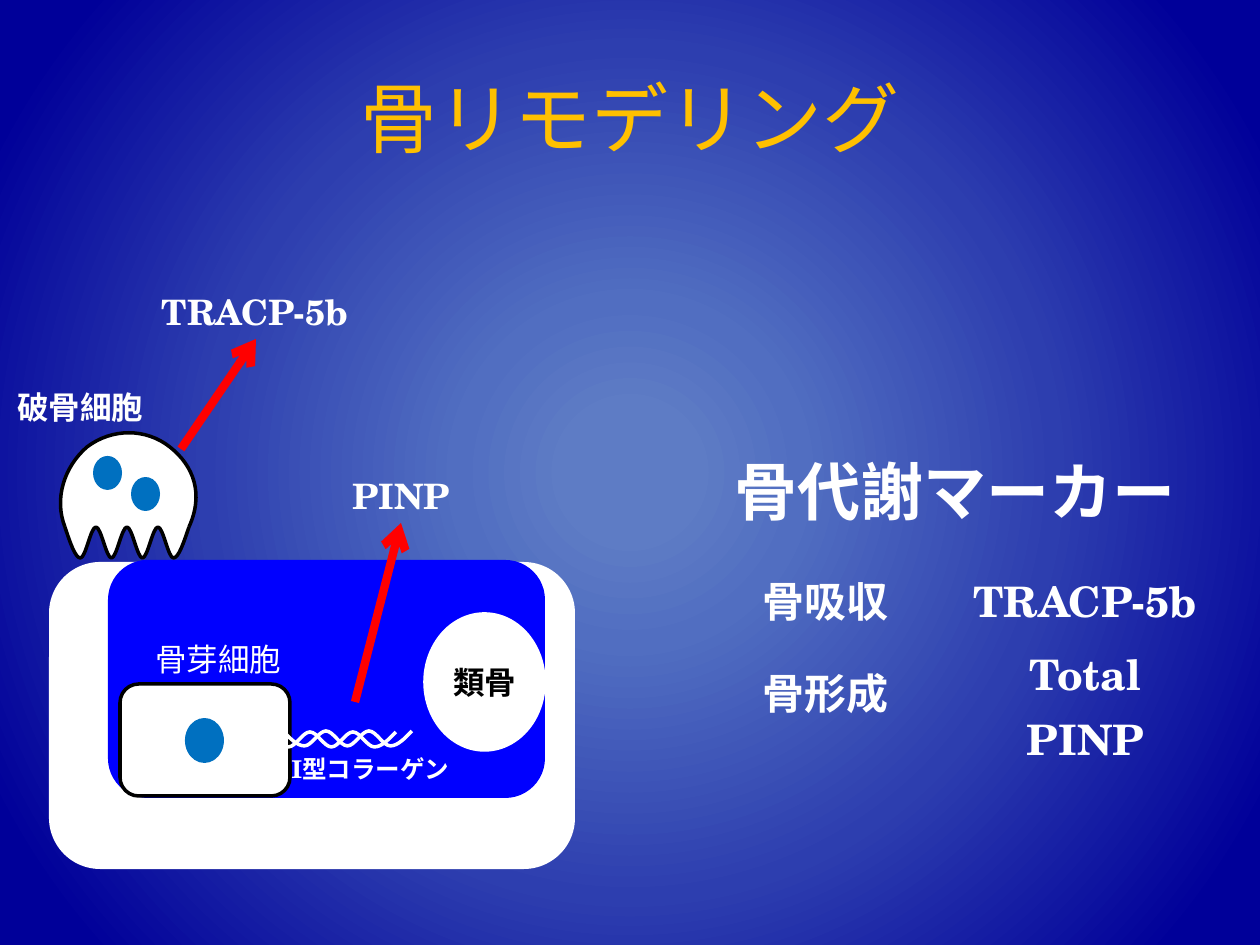
"""Build the bone remodeling slide with its cell diagram and marker table."""
from lxml import etree
from pptx import Presentation
from pptx.dml.color import RGBColor
from pptx.enum.shapes import MSO_CONNECTOR, MSO_SHAPE
from pptx.enum.text import MSO_ANCHOR, PP_ALIGN
from pptx.oxml.ns import qn
from pptx.util import Emu, Pt

SCALE = 914400 / 126
FONT = "TeX Gyre Schola"
LEFT, CENTER = PP_ALIGN.LEFT, PP_ALIGN.CENTER
TOP, MIDDLE = MSO_ANCHOR.TOP, MSO_ANCHOR.MIDDLE
ROUNDED, OVAL = MSO_SHAPE.ROUNDED_RECTANGLE, MSO_SHAPE.OVAL
STRAIGHT = MSO_CONNECTOR.STRAIGHT
WHITE = RGBColor(0xFF, 0xFF, 0xFF)
BLACK = RGBColor(0, 0, 0)
GOLD = RGBColor(0xFF, 0xC0, 0)
RED = RGBColor(0xFF, 0, 0)
BLUE = RGBColor(0, 0, 0xFF)
NUCLEUS = RGBColor(0, 0x70, 0xC0)
BACKDROP = [
    (8, RGBColor(0x5E, 0x7C, 0xC5)),
    (22, RGBColor(0x51, 0x6E, 0xC1)),
    (54, RGBColor(0x2D, 0x3E, 0xAF)),
    (91, RGBColor(0, 0, 0x99)),
]
NO_GRID_STYLE = "{2D5ABB26-0587-4C30-8999-92F81FD0307C}"

TITLE = ("骨リモデリング", (63, 38, 1134, 158), 44, GOLD, False, CENTER, MIDDLE)
OSTEOCLAST_LABEL = ("破骨細胞", (5, 382, 173, 50), 18, WHITE, True, LEFT, TOP)
TRACP_LABEL = ("TRACP-5b", (138, 284, 234, 55), 20, WHITE, True, CENTER, TOP)
OSTEOBLAST_LABEL = ("骨芽細胞", (143, 634, 173, 50), 18, WHITE, False, LEFT, TOP)
COLLAGEN_LABEL = ("I型コラーゲン", (256, 748, 229, 43), 14, WHITE, True, CENTER, TOP)
OSTEOID_LABEL = ("類骨", (435, 657, 100, 50), 18, BLACK, True, CENTER, TOP)
PINP_LABEL = ("PINP", (284, 468, 234, 55), 20, WHITE, True, CENTER, TOP)

BONE = (ROUNDED, (49, 562, 526, 307), WHITE, None)
CAVITY = (ROUNDED, (108, 560, 437, 238), BLUE, None)
OSTEOBLAST = [
    (ROUNDED, (120, 684, 170, 112), WHITE, BLACK),
    (OVAL, (185, 718, 39, 45), NUCLEUS, None),
]
OSTEOID = (OVAL, (425, 614, 119, 136), WHITE, WHITE)
OSTEOCLAST_NUCLEI = [
    (OVAL, (93, 456, 29, 34), NUCLEUS, None),
    (OVAL, (131, 477, 29, 34), NUCLEUS, None),
]
TRACP_ARROW = ((181, 449), (256, 339))
PINP_ARROW = ((355, 702), (401, 523))

OSTEOCLAST_DOME = [
    ((65, 527), (54, 499), (64, 467), (87, 447)),
    ((87, 447), (112, 428), (146, 428), (170, 447)),
    ((170, 447), (194, 466), (204, 494), (189, 527)),
]
OSTEOCLAST_LEGS = (65, 189, 527, 558, 8)
COLLAGEN_STRANDS = [(267, 396, 732, 747, 6), (283, 412, 731, 746, 6)]

MARKER_FRAME = (696, 413, 519, 291)
MARKER_ROW_HEIGHTS = (149, 73, 69)
MARKERS = [("骨代謝マーカー",), ("骨吸収", "TRACP-5b"), ("骨形成", "Total PINP")]


def px(value):
    return Emu(round(value * SCALE))


def place(box):
    return [px(length) for length in box]


def paint_background(slide):
    fill = slide.background.fill
    fill.gradient()
    gradient = slide.background._cSld.find(".//" + qn("a:gradFill"))
    for child in list(gradient):
        gradient.remove(child)
    stops = etree.SubElement(gradient, qn("a:gsLst"))
    for percent, color in BACKDROP:
        stop = etree.SubElement(stops, qn("a:gs"), pos=str(percent * 1000))
        etree.SubElement(stop, qn("a:srgbClr"), val=str(color))
    circle = etree.SubElement(gradient, qn("a:path"), path="circle")
    etree.SubElement(circle, qn("a:fillToRect"), l="50000", t="50000", r="50000", b="50000")


def style_text(paragraph, size, color, bold, align):
    paragraph.alignment = align
    for run in paragraph.runs:
        run.font.name = FONT
        run.font.size = Pt(size)
        run.font.bold = bold
        run.font.color.rgb = color


def add_label(shapes, label):
    text, box, size, color, bold, align, anchor = label
    frame = shapes.add_textbox(*place(box)).text_frame
    frame.word_wrap = True
    frame.vertical_anchor = anchor
    frame.text = text
    style_text(frame.paragraphs[0], size, color, bold, align)


def paint(shape, fill, outline):
    shape.shadow.inherit = False
    if fill is None:
        shape.fill.background()
    else:
        shape.fill.solid()
        shape.fill.fore_color.rgb = fill
    if outline is None:
        shape.line.fill.background()
    else:
        shape.line.color.rgb = outline
        shape.line.width = Pt(2)


def add_part(shapes, part):
    kind, box, fill, outline = part
    paint(shapes.add_shape(kind, *place(box)), fill, outline)


def wave(left, right, top, bottom, count):
    step = (right - left) / count
    middle = (top + bottom) / 2
    curves = []
    for i in range(count):
        x = left + i * step
        start, end = (top, bottom) if i % 2 == 0 else (bottom, top)
        leave = middle if i == 0 else start
        arrive = middle if i == count - 1 else end
        curves.append(((x, start), (x + step / 3, leave),
                       (x + step * 2 / 3, arrive), (x + step, end)))
    return curves


def add_curve(shapes, curves, fill, outline):
    builder = shapes.build_freeform(*place(curves[0][0]))
    builder.add_line_segments([place(curve[-1]) for curve in curves], close=False)
    outline_shape = builder.convert_to_shape()
    left = min(point[0] for curve in curves for point in (curve[0], curve[-1]))
    top = min(point[1] for curve in curves for point in (curve[0], curve[-1]))
    segments = list(outline_shape._element.iter(qn("a:lnTo")))
    for segment, curve in zip(segments, curves):
        bend = etree.Element(qn("a:cubicBezTo"))
        for x, y in curve[1:]:
            etree.SubElement(bend, qn("a:pt"), x=str(px(x - left)), y=str(px(y - top)))
        segment.getparent().replace(segment, bend)
    paint(outline_shape, fill, outline)


def add_arrow(shapes, ends):
    start, end = ends
    arrow = shapes.add_connector(STRAIGHT, *place(start + end))
    arrow.line.color.rgb = RED
    arrow.line.width = Pt(4.75)
    etree.SubElement(arrow.line._get_or_add_ln(), qn("a:tailEnd"), type="arrow")
    etree.SubElement(arrow._element.spPr, qn("a:effectLst"))


def add_markers(shapes):
    table = shapes.add_table(len(MARKERS), 2, *place(MARKER_FRAME)).table
    table._tbl.tblPr.find(qn("a:tableStyleId")).text = NO_GRID_STYLE
    table.first_row = table.horz_banding = False
    table.cell(0, 0).merge(table.cell(0, 1))
    for r, (row, height) in enumerate(zip(MARKERS, MARKER_ROW_HEIGHTS)):
        table.rows[r].height = px(height)
        for c, text in enumerate(row):
            cell = table.cell(r, c)
            cell.fill.background()
            cell.vertical_anchor = MIDDLE
            cell.text = text
            style_text(cell.text_frame.paragraphs[0], 24 if r else 36, WHITE, True, CENTER)


def main():
    deck = Presentation()
    deck.slide_width, deck.slide_height = px(1260), px(945)
    slide = deck.slides.add_slide(deck.slide_layouts[6])
    shapes = slide.shapes
    paint_background(slide)
    add_label(shapes, TITLE)
    add_part(shapes, BONE)
    add_label(shapes, OSTEOCLAST_LABEL)
    add_label(shapes, TRACP_LABEL)
    add_arrow(shapes, TRACP_ARROW)
    add_part(shapes, CAVITY)
    osteoblast = shapes.add_group_shape().shapes
    for part in OSTEOBLAST:
        add_part(osteoblast, part)
    add_label(shapes, OSTEOBLAST_LABEL)
    for strand in COLLAGEN_STRANDS:
        add_curve(shapes, wave(*strand), None, WHITE)
    add_label(shapes, COLLAGEN_LABEL)
    add_part(shapes, OSTEOID)
    add_label(shapes, OSTEOID_LABEL)
    add_label(shapes, PINP_LABEL)
    add_arrow(shapes, PINP_ARROW)
    add_markers(shapes)
    osteoclast = shapes.add_group_shape().shapes
    for curves in (OSTEOCLAST_DOME, wave(*OSTEOCLAST_LEGS)):
        add_curve(osteoclast, curves, WHITE, BLACK)
    for nucleus in OSTEOCLAST_NUCLEI:
        add_part(osteoclast, nucleus)
    deck.save("out.pptx")


if __name__ == "__main__":
    main()
